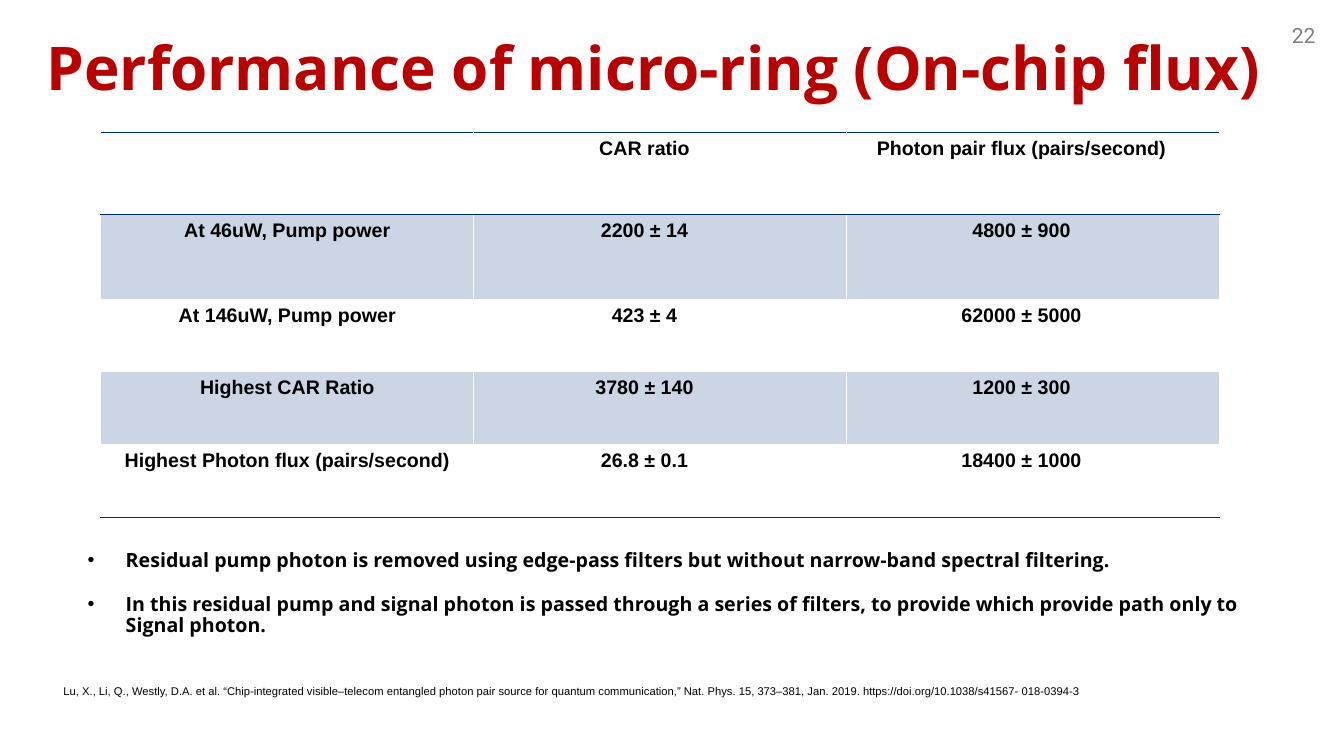
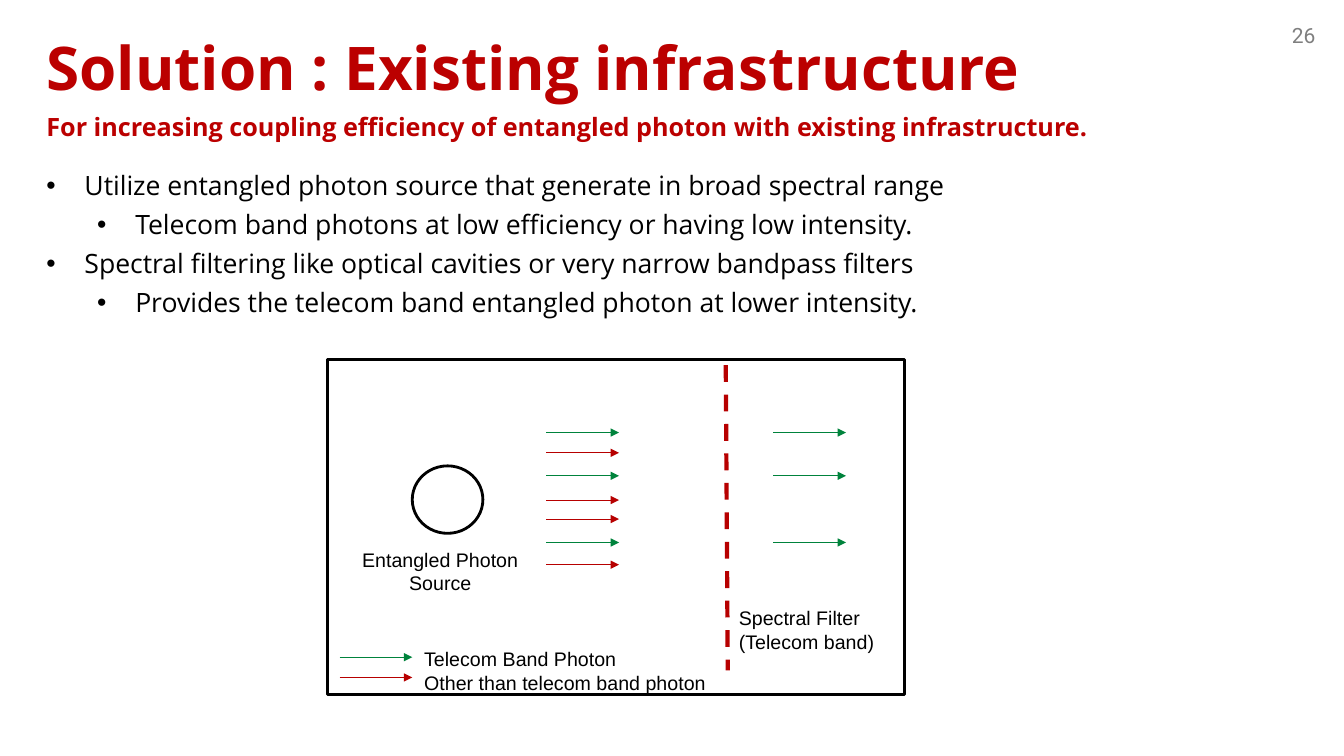
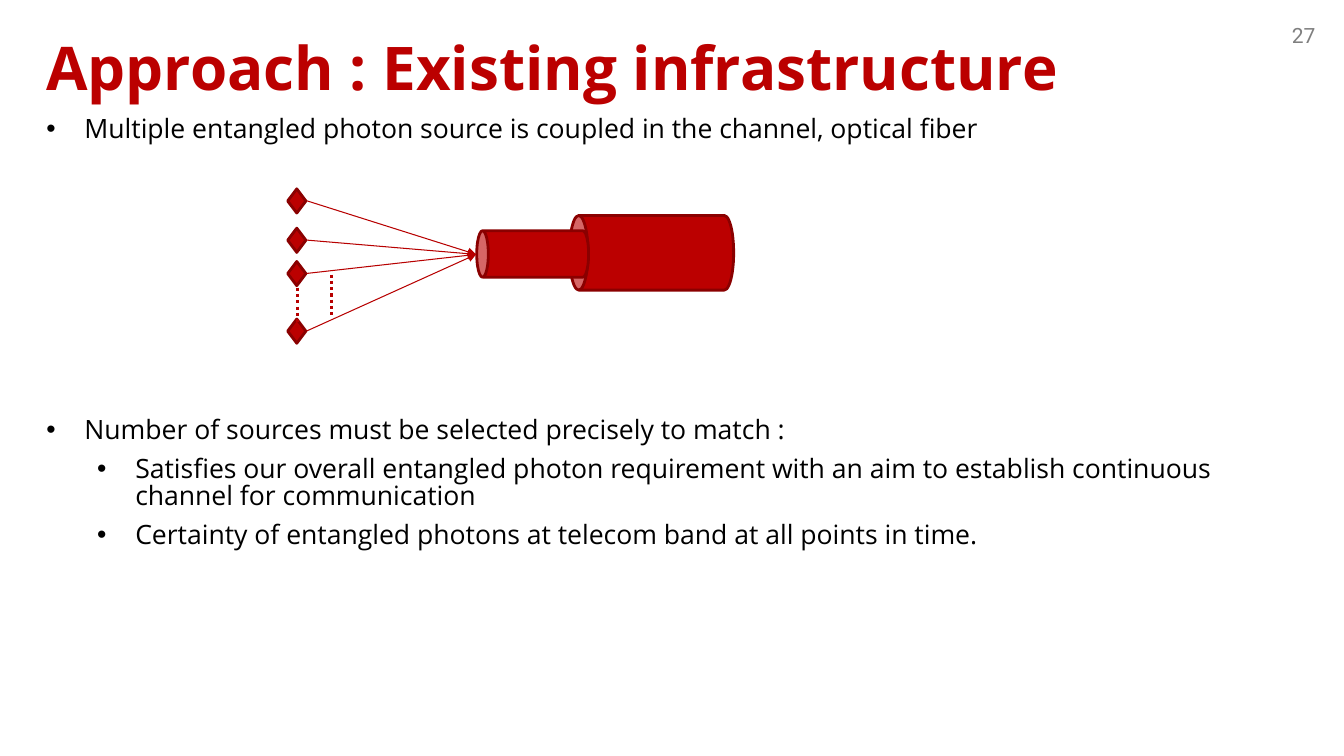
import lxml.etree
import pptx
import pptx.dml.color
import pptx.enum.dml
import pptx.enum.shapes
import pptx.enum.text
import pptx.oxml.ns
import pptx.util

Cm, Pt, qn = pptx.util.Cm, pptx.util.Pt, pptx.oxml.ns.qn
ALIGN = pptx.enum.text.PP_ALIGN
SHAPE = pptx.enum.shapes.MSO_SHAPE
DASH = pptx.enum.dml.MSO_LINE

RED, DARK_RED, LINE_RED = "BB0000", "8A0000", "B70000"
GREEN, NAVY, PALE_BLUE = "00833C", "002C71", "CCD5E3"
BLACK, GREY = "000000", "7F7F7F"
HEAD_FONT, TEXT_FONT, NUMBER_FONT = "Open Sans", "Arial", "Roboto"
WIDE_INSETS = (0.33, 0.18)


def rgb(color):
    """Turn a hex string into a colour."""
    return pptx.dml.color.RGBColor.from_string(color)


def child(parent, tag, **attrs):
    """Append a drawing element to a parent."""
    return lxml.etree.SubElement(parent, qn("a:" + tag), attrs)


def style(p, size, font, color=BLACK, bold=False, align=ALIGN.LEFT):
    """Format one paragraph."""
    p.alignment = align
    p.font.size, p.font.name, p.font.bold = Pt(size), font, bold
    p.font.color.rgb = rgb(color)


def set_frame(tf, insets):
    """Set wrapping and insets of a text frame."""
    tf.word_wrap = True
    tf.auto_size = pptx.enum.text.MSO_AUTO_SIZE.NONE
    tf.margin_left = tf.margin_right = Cm(insets[0])
    tf.margin_top = tf.margin_bottom = Cm(insets[1])


def add_text(s, box, lines, size, font, insets=(0.25, 0.13), **look):
    """Add a text box with one paragraph a line and return its paragraphs."""
    tf = s.shapes.add_textbox(*map(Cm, box)).text_frame
    set_frame(tf, insets)
    tf.text = "\n".join(lines)
    for p in tf.paragraphs:
        style(p, size, font, **look)
    return tf.paragraphs


def add_bullet(p, indent, hanging=0.96):
    """Give a paragraph a round bullet."""
    pPr = p._p.get_or_add_pPr()
    pPr.set("marL", str(Cm(indent)))
    pPr.set("indent", str(-Cm(hanging)))
    child(child(pPr, "buClr"), "srgbClr", val=BLACK)
    child(pPr, "buFont", typeface=TEXT_FONT)
    child(pPr, "buChar", char="•")


def add_body(s, box, items):
    """Add bulleted text from (level, text) pairs; level None is a subheading."""
    paragraphs = add_text(s, box, [text for _, text in items], 19, HEAD_FONT, WIDE_INSETS)
    previous = 0
    for i, (p, (level, _)) in enumerate(zip(paragraphs, items)):
        p.line_spacing = 0.85
        p.space_before = Pt(0 if i == 0 else 23 if previous is None else 8.6)
        if level is None:
            style(p, 18, HEAD_FONT, RED, True)
        else:
            p.level = level
            add_bullet(p, 0.96 + 1.28 * level)
        previous = level


def add_line(s, start, end, color, width=0.75, dash=None, arrow=True):
    """Add a straight line, with an arrowhead unless told otherwise."""
    c = s.shapes.add_connector(pptx.enum.shapes.MSO_CONNECTOR.STRAIGHT, *map(Cm, start + end))
    c.line.color.rgb = rgb(color)
    c.line.width = Pt(width)
    if dash:
        c.line.dash_style = dash
    if arrow:
        child(c.line._get_or_add_ln(), "tailEnd", type="triangle")
    child(c._element.spPr, "effectLst")


def add_shape(s, kind, box, line, fill=None):
    """Add an outlined shape, filled if a colour is given."""
    sp = s.shapes.add_shape(kind, *map(Cm, box))
    sp.shadow.inherit = False
    sp.line.color.rgb = rgb(line)
    sp.line.width = Pt(2)
    if fill:
        sp.fill.solid()
        sp.fill.fore_color.rgb = rgb(fill)
    else:
        sp.fill.background()
    return sp


def new_slide(prs, title, number, width=30.48):
    """Add a slide with its title and page number."""
    s = prs.slides.add_slide(prs.slide_layouts[5])
    sp = s.shapes.title
    sp.left, sp.top, sp.width, sp.height = map(Cm, (0.84, 0.51, width, 2.34))
    tf = sp.text_frame
    tf.text = title
    set_frame(tf, WIDE_INSETS)
    tf.vertical_anchor = pptx.enum.text.MSO_ANCHOR.MIDDLE
    style(tf.paragraphs[0], 43, HEAD_FONT, RED, True)
    add_text(s, (31.6, 0.38, 1.88, 0.97), [str(number)], 15, NUMBER_FONT,
             WIDE_INSETS, color=GREY, align=ALIGN.RIGHT)
    return s


def add_results(s, x, y, width, heights, rows):
    """Add the results table with ruled header and shaded odd rows."""
    tbl = s.shapes.add_table(len(rows), len(rows[0]), Cm(x), Cm(y), Cm(width), Cm(sum(heights))).table
    tbl.first_row = tbl.horz_banding = False
    rules = {0: ("lnT", "lnB"), 1: ("lnT",), len(rows) - 1: ("lnB",)}
    for i, row in enumerate(rows):
        tbl.rows[i].height = Cm(heights[i])
        for j, text in enumerate(row):
            cell = tbl.cell(i, j)
            cell.text = text
            cell.margin_right = Cm((0.25, 1.05, 0.85)[j])
            style(cell.text_frame.paragraphs[0], 14, TEXT_FONT, bold=True, align=ALIGN.CENTER)
            for tag in rules.get(i, ()):
                ln = child(cell._tc.get_or_add_tcPr(), tag, w=str(Pt(1)))
                child(child(ln, "solidFill"), "srgbClr", val=NAVY)
            if i % 2:
                cell.fill.solid()
                cell.fill.fore_color.rgb = rgb(PALE_BLUE)
            else:
                cell.fill.background()


def add_filter_diagram(s, x, y, w, h):
    """Draw a photon source whose light passes a spectral filter."""
    def arrow(dx, dy, color):
        """Draw one photon arrow."""
        add_line(s, (x + dx, y + dy), (x + dx + 1.83, y + dy), color)

    add_shape(s, SHAPE.RECTANGLE, (x, y, w, h), BLACK)
    add_shape(s, SHAPE.OVAL, (x + 2.13, y + 2.67, 1.78, 1.7), BLACK)
    add_line(s, (x + 10.03, y + 0.13), (x + 10.08, y + 7.82), LINE_RED, 3, DASH.DASH, False)
    for dy in (1.83, 2.92, 4.6):
        arrow(5.51, dy, GREEN)
        arrow(11.23, dy, GREEN)
    for dy in (2.34, 3.53, 4.01, 5.16):
        arrow(5.51, dy, LINE_RED)
    arrow(0.3, 7.49, GREEN)
    arrow(0.3, 8, LINE_RED)
    for dx, dy, width, align, lines in (
        (2.18, 7.11, 7.85, ALIGN.LEFT, ["Telecom Band Photon", "Other than telecom band photon"]),
        (10.11, 6.07, 4.06, ALIGN.LEFT, ["Spectral Filter", "(Telecom band)"]),
        (0.46, 4.6, 4.75, ALIGN.CENTER, ["Entangled Photon", "Source"]),
    ):
        add_text(s, (x + dx, y + dy, width, 1.45), lines, 14, TEXT_FONT, align=align)


def add_fibre_diagram(s, x, y):
    """Draw several sources coupled into one optical fibre."""
    for dx, dy, w, h in ((8.23, -0.46, 1.88, 4.14), (5.59, 0.23, 1.17, 2.82)):
        can = add_shape(s, SHAPE.CAN, (x + dx, y + dy, w, h), DARK_RED, RED)
        can.rotation = 270
    for dy in (0, 0.99, 1.83, 3.28):
        add_shape(s, SHAPE.DIAMOND, (x, y + dy, 0.46, 0.61), DARK_RED, RED)
        add_line(s, (x + 0.48, y + dy + 0.3), (x + 4.75, y + 1.65), LINE_RED)
    for dx, dy in ((0.24, 2.49), (1.1, 2.16)):
        add_line(s, (x + dx, y + dy), (x + dx, y + dy + 1.02), LINE_RED, 2.25, DASH.ROUND_DOT, False)


def performance_slide(prs):
    """Build the slide with measured performance."""
    s = new_slide(prs, "Performance of micro-ring (On-chip flux)", 22, 31.62)
    add_results(s, 2.54, 3.33, 28.2, (2.08, 2.13, 1.83, 1.83, 1.83), [
        ("", "CAR ratio", "Photon pair flux (pairs/second)"),
        ("At 46uW, Pump power", "2200 ± 14", "4800 ± 900"),
        ("At 146uW, Pump power", "423 ± 4", "62000 ± 5000"),
        ("Highest CAR Ratio", "3780 ± 140", "1200 ± 300"),
        ("Highest Photon flux (pairs/second)", "26.8 ± 0.1", "18400 ± 1000"),
    ])
    notes = add_text(s, (1.35, 13.74, 31.12, 2.64), [
        "Residual pump photon is removed using edge-pass filters but without narrow-band spectral filtering.",
        "In this residual pump and signal photon is passed through a series of filters, "
        "to provide which provide path only to Signal photon.",
    ], 14, HEAD_FONT, bold=True)
    for p in notes:
        p.line_spacing = 0.9
        add_bullet(p, 1.57)
    notes[1].space_before = Pt(16.5)
    add_text(s, (1.35, 17.12, 27.05, 0.61), [
        "Lu, X., Li, Q., Westly, D.A. et al. “Chip-integrated visible–telecom entangled photon pair source "
        "for quantum communication,” Nat. Phys. 15, 373–381, Jan. 2019. "
        "https://doi.org/10.1038/s41567- 018-0394-3",
    ], 8, TEXT_FONT)


def solution_slide(prs):
    """Build the slide on filtering a broad source."""
    s = new_slide(prs, "Solution : Existing infrastructure", 26)
    add_body(s, (0.84, 2.74, 30.48, 6.2), [
        (None, "For increasing coupling efficiency of entangled photon with existing infrastructure."),
        (0, "Utilize entangled photon source that generate in broad spectral range"),
        (1, "Telecom band photons at low efficiency or having low intensity."),
        (0, "Spectral filtering like optical cavities or very narrow bandpass filters"),
        (1, "Provides the telecom band entangled photon at lower intensity."),
    ])
    add_filter_diagram(s, 8.26, 9.07, 14.53, 8.43)


def approach_slide(prs):
    """Build the slide on coupling several sources."""
    s = new_slide(prs, "Approach : Existing infrastructure", 27)
    add_body(s, (0.84, 2.77, 30.48, 1.2), [
        (0, "Multiple entangled photon source is coupled in the channel, optical fiber"),
    ])
    add_fibre_diagram(s, 7.25, 4.76)
    add_body(s, (0.84, 10.35, 30.48, 4.5), [
        (0, "Number of sources must be selected precisely to match :"),
        (1, "Satisfies our overall entangled photon requirement with an aim to establish "
            "continuous channel for communication"),
        (1, "Certainty of entangled photons at telecom band at all points in time."),
    ])


def main():
    """Build and save the presentation."""
    prs = pptx.Presentation()
    prs.slide_width, prs.slide_height = Cm(33.87), Cm(19.05)
    performance_slide(prs)
    solution_slide(prs)
    approach_slide(prs)
    prs.save("out.pptx")


if __name__ == "__main__":
    main()
